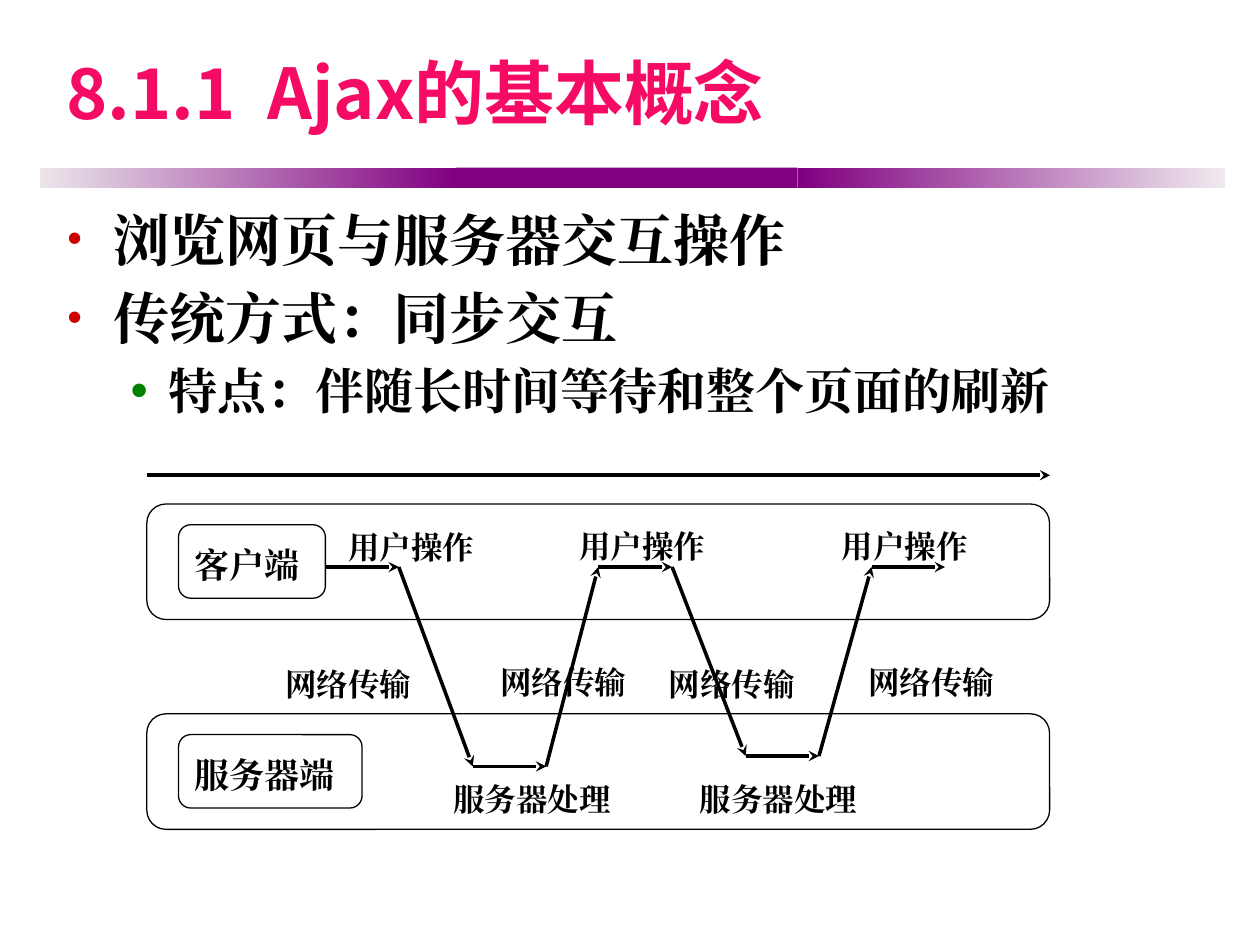
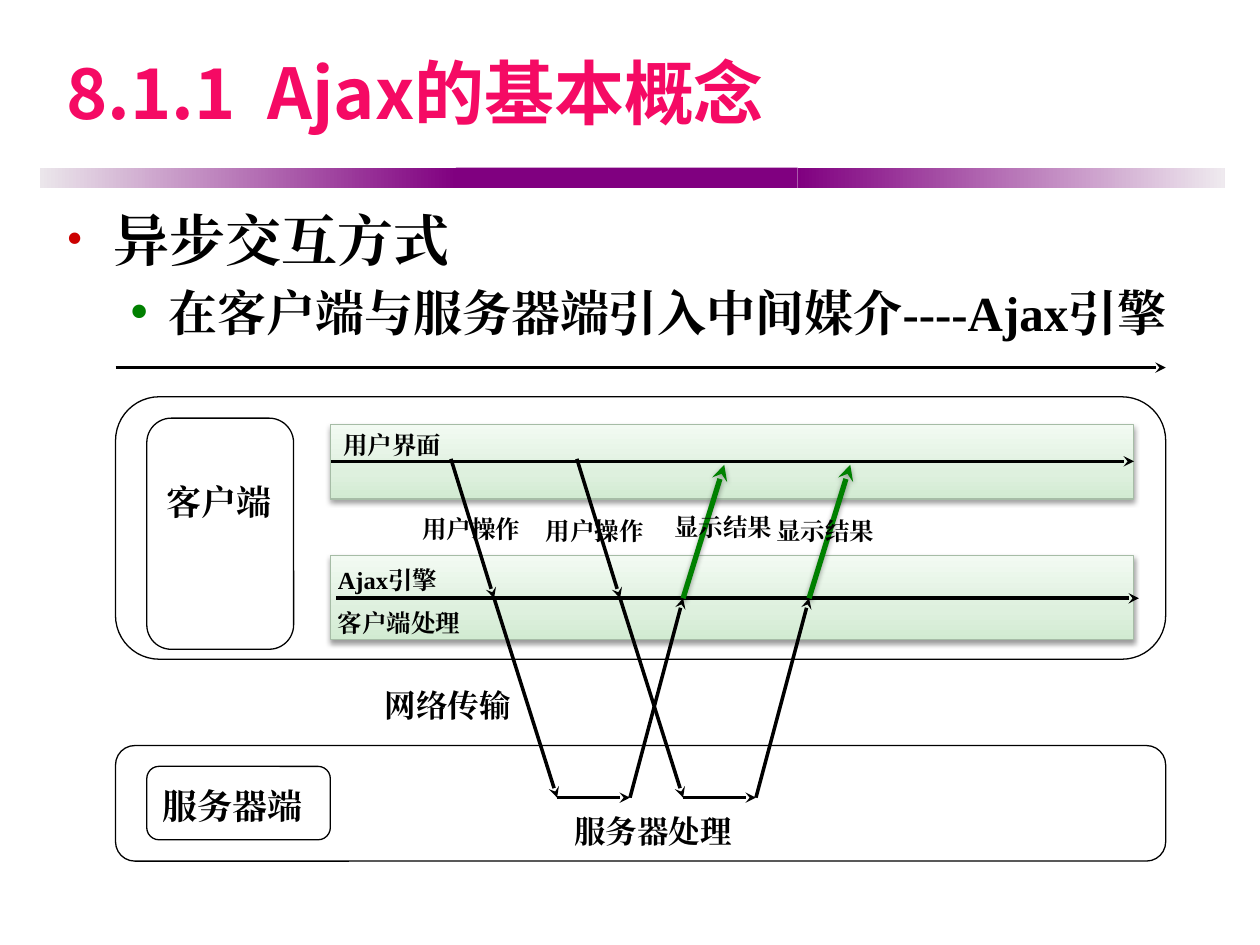
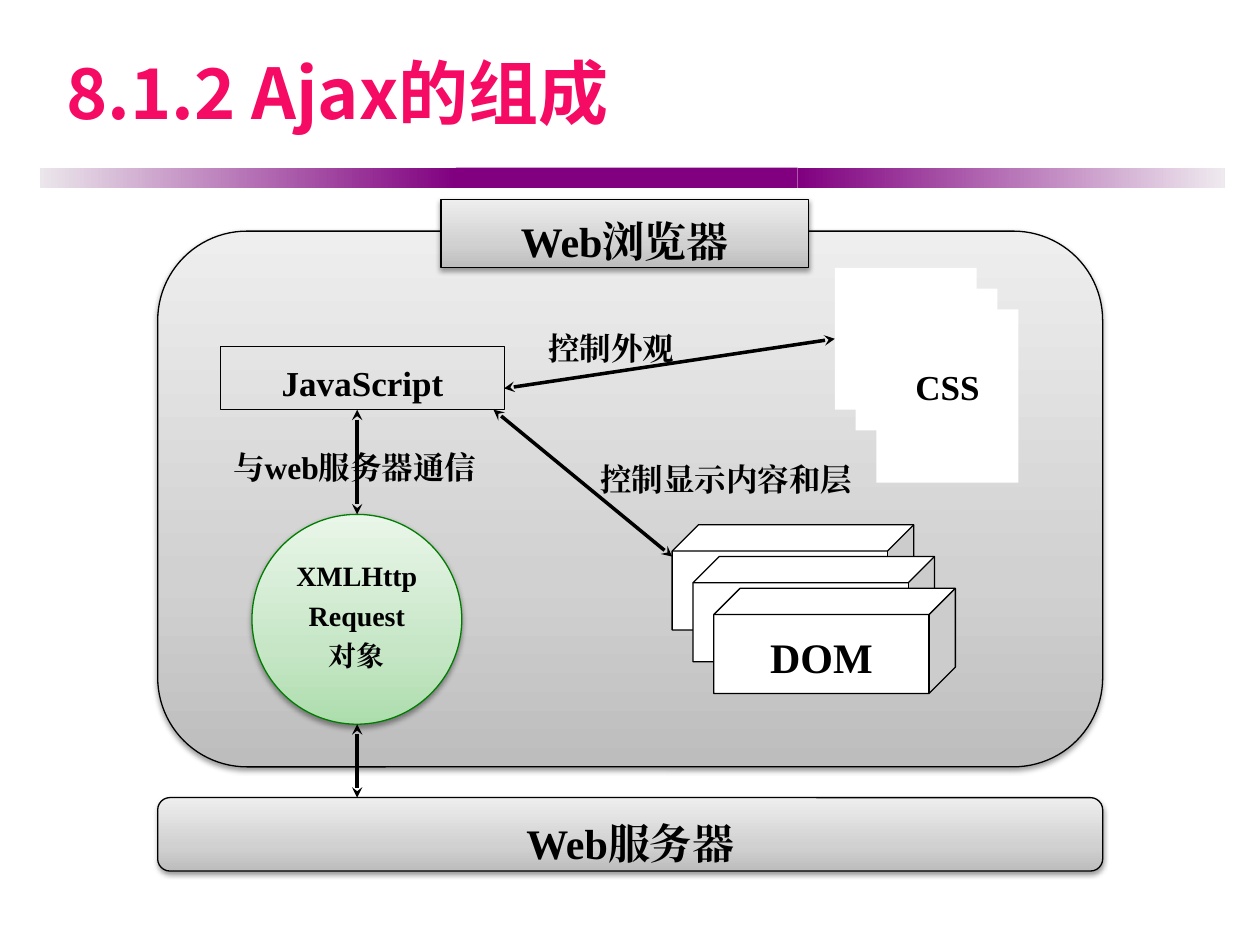
from copy import deepcopy
from itertools import pairwise

from lxml import etree
from pptx import Presentation
from pptx.dml.color import RGBColor
from pptx.enum.shapes import MSO_CONNECTOR, MSO_SHAPE as Preset
from pptx.enum.text import MSO_ANCHOR as Anchor, PP_ALIGN as Align
from pptx.oxml import parse_xml
from pptx.oxml.ns import qn
from pptx.util import Cm, Pt

# Shared look
rgb = RGBColor.from_string
BLACK, WHITE, PINK, PURPLE, GREEN = "000000", "FFFFFF", "F50A64", "800080", "008000"
BODY_FONT, TITLE_FONT = "Times New Roman", "Noto Sans CJK SC"
GREY_FADE = [(0, "BDBDBD"), (0.35, "D1D1D1"), (1, "EEEEEE")]
PALE_GREEN_FADE = [(0, "D2EBD2"), (0.35, "DEF0DE"), (1, "F2FAF2")]
GREEN_FADE = [(0, "ADDDAD"), (0.35, "C6E6C6"), (1, "E9F6E9")]
BANDS = [
    (0.81, 8.4, [(0, "EBE6EB"), (1, PURPLE)]),
    (9.19, 6.89, PURPLE),
    (16.08, 8.61, [(0, PURPLE), (1, "EFEAEF")]),
]
BULLETS = [("CC0000", 85, 32, 0.95, -0.95), (GREEN, 115, 28, 2.06, -0.79)]
SOFT_SHADOW = parse_xml(
    '<a:outerShdw xmlns:a="http://schemas.openxmlformats.org/drawingml/2006/main" '
    'blurRad="40000" dist="20000" dir="5400000" rotWithShape="0">'
    '<a:srgbClr val="000000"><a:alpha val="38000"/></a:srgbClr></a:outerShdw>'
)


def add_box(slide, preset, box, text="", size=18, fill=None, line=BLACK, shadow=False,
            align=Align.LEFT, top=0.13, angle=90, font=BODY_FONT, color=BLACK, spacing=1.2):
    """Add a preset shape, or a text box when preset is None."""
    place = [Cm(length) for length in box]
    if preset is None:
        shape = slide.shapes.add_textbox(*place)
    else:
        shape = slide.shapes.add_shape(preset, *place)
        shape.shadow.inherit = False
        if shadow:
            shape._element.spPr.find(qn("a:effectLst")).append(deepcopy(SOFT_SHADOW))
        if fill is None:
            shape.fill.background()
        elif isinstance(fill, str):
            shape.fill.solid()
            shape.fill.fore_color.rgb = rgb(fill)
        else:
            shape.fill.gradient()
            shape.fill.gradient_angle = angle
            stops = shape._element.spPr.find(qn("a:gradFill")).find(qn("a:gsLst"))
            for _ in fill[2:]:
                stops.append(deepcopy(stops[0]))
            for stop, (position, shade) in zip(shape.fill.gradient_stops, fill):
                stop.position = position
                stop.color.rgb = rgb(shade)
        if line:
            shape.line.color.rgb = rgb(line)
            shape.line.width = Pt(0.75)
        else:
            shape.line.fill.background()
    frame = shape.text_frame
    frame.word_wrap = True
    frame.vertical_anchor = Anchor.TOP
    frame.margin_top = Cm(top)
    frame.text = text
    for paragraph in frame.paragraphs:
        paragraph.alignment = align
        paragraph.line_spacing = spacing
        for run in paragraph.runs:
            run.font.size = Pt(size)
            run.font.bold = True
            run.font.name = font
            run.font.color.rgb = rgb(color)
            etree.SubElement(run._r.get_or_add_rPr(), qn("a:ea"), typeface=font)
    return shape


def add_arrow(slide, start, end, color=BLACK, width=2, both=False, shadow=False):
    """Add a straight arrow with a stealth head at its end, or at both ends."""
    arrow = slide.shapes.add_connector(
        MSO_CONNECTOR.STRAIGHT, *[Cm(length) for length in (*start, *end)])
    arrow.line.color.rgb = rgb(color)
    arrow.line.width = Pt(width)
    for tip in ["a:headEnd", "a:tailEnd"] if both else ["a:tailEnd"]:
        etree.SubElement(arrow.line._get_or_add_ln(), qn(tip), type="stealth")
    effects = etree.SubElement(arrow._element.spPr, qn("a:effectLst"))
    if shadow:
        effects.append(deepcopy(SOFT_SHADOW))


deck = Presentation()
deck.slide_width, deck.slide_height = Cm(25.4), Cm(19.05)

# Bands, title and bullets of every slide
CONTENTS = [
    ("8.1.1  Ajax的基本概念",
     [(0, "浏览网页与服务器交互操作"), (0, "传统方式：同步交互"),
      (1, "特点：伴随长时间等待和整个页面的刷新")]),
    ("8.1.1  Ajax的基本概念",
     [(0, "异步交互方式"), (1, "在客户端与服务器端引入中间媒介----Ajax引擎")]),
    ("8.1.2 Ajax的组成", []),
]
for title, points in CONTENTS:
    slide = deck.slides.add_slide(deck.slide_layouts[6])
    for left, width, fill in BANDS:
        add_box(slide, Preset.RECTANGLE, (left, 3.38, width, 0.41),
                fill=fill, line=None, angle=0)
    heading = add_box(slide, None, (1.09, 0.43, 23.01, 2.82), title, 40,
                      font=TITLE_FONT, color=PINK, spacing=1.0)
    heading.text_frame.vertical_anchor = Anchor.MIDDLE
    if not points:
        continue
    body = add_box(slide, None, (1.09, 4.01, 23.39, 4.45),
                   "\n".join(text for _, text in points), spacing=1.0)
    for paragraph, (level, _) in zip(body.text_frame.paragraphs, points):
        color, percent, size, margin, indent = BULLETS[level]
        paragraph.level = level
        paragraph.space_before = Pt(0.2 * size)
        paragraph.runs[0].font.size = Pt(size)
        props = paragraph._p.get_or_add_pPr()
        props.set("marL", str(Cm(margin)))
        props.set("indent", str(Cm(indent)))
        bullet_color = etree.SubElement(props, qn("a:buClr"))
        etree.SubElement(bullet_color, qn("a:srgbClr"), val=color)
        etree.SubElement(props, qn("a:buSzPct"), val=str(percent * 1000))
        etree.SubElement(props, qn("a:buFont"), typeface=BODY_FONT)
        etree.SubElement(props, qn("a:buChar"), char="•")

synchronous, asynchronous, components = deck.slides

# Slide 1: time axis, client and server lanes
add_arrow(synchronous, (2.96, 9.58), (21.17, 9.58))
for top, name, width in [(10.16, "客户端", 2.96), (14.39, "服务器端", 3.7)]:
    add_box(synchronous, Preset.ROUNDED_RECTANGLE, (2.96, top, 18.2, 2.33))
    add_box(synchronous, Preset.ROUNDED_RECTANGLE, (3.6, top + 0.42, width, 1.48), name, 20)

# Zigzag between client and server
zigzag = [(6.56, 11.43), (8.04, 11.43), (9.53, 15.45), (11.01, 15.45), (12.06, 11.43),
          (13.55, 11.43), (15.03, 15.24), (16.51, 15.24), (17.57, 11.43), (19.05, 11.43)]
for start, end in pairwise(zigzag):
    add_arrow(synchronous, start, end)

# Labels of the steps
STEPS = [
    ("用户操作", 3.28, [(6.77, 10.36), (11.43, 10.34), (16.72, 10.34)]),
    ("网络传输", 3.28, [(5.5, 13.13), (9.84, 13.08), (13.23, 13.13), (17.25, 13.08)]),
    ("服务器处理", 4.34, [(8.89, 15.45), (13.86, 15.45)]),
]
for step, width, places in STEPS:
    for left, top in places:
        add_box(synchronous, None, (left, top, width, 1.1), step)

# Slide 2: time axis, client and server lanes
add_box(asynchronous, Preset.RECTANGLE, (6.67, 8.56, 16.18, 1.5),
        fill=PALE_GREEN_FADE, line="A6BCA6", shadow=True)
add_arrow(asynchronous, (2.33, 7.41), (23.5, 7.41))
add_box(asynchronous, Preset.ROUNDED_RECTANGLE, (2.33, 8, 21.17, 5.29))
add_box(asynchronous, Preset.ROUNDED_RECTANGLE, (2.96, 8.43, 2.96, 4.66),
        "客户端", 20, top=0.95)
add_box(asynchronous, Preset.ROUNDED_RECTANGLE, (2.33, 15.03, 21.17, 2.33))
add_box(asynchronous, Preset.ROUNDED_RECTANGLE, (2.96, 15.45, 3.7, 1.48), "服务器端", 20)

# User interface and engine strips
add_arrow(asynchronous, (6.67, 9.3), (22.86, 9.3))
add_box(asynchronous, Preset.RECTANGLE, (6.67, 11.2, 16.18, 1.7),
        fill=PALE_GREEN_FADE, line="A6BCA6", shadow=True)
add_arrow(asynchronous, (6.77, 12.06), (22.96, 12.06))

# Two overlapping requests, each ending in a green answer
request = [(9.09, 9.25), (9.96, 12.06), (11.23, 16.08),
           (12.7, 16.08), (13.77, 12.06), (14.6, 9.37)]
for shift in (0, 2.54):
    legs = list(pairwise([(x + shift, y) for x, y in request]))
    for start, end in legs[:-1]:
        add_arrow(asynchronous, start, end)
    add_arrow(asynchronous, *legs[-1], color=GREEN, width=3, shadow=True)

# Labels of the strips and steps
for label, left, top, width, size in [
    ("用户界面", 6.67, 8.43, 3.28, 14),
    ("Ajax引擎", 6.56, 11.15, 3.28, 14),
    ("客户端处理", 6.56, 12.01, 3.28, 14),
    ("用户操作", 8.26, 10.11, 3.18, 14),
    ("用户操作", 10.75, 10.16, 2.6, 14),
    ("显示结果", 13.34, 10.08, 2.6, 14),
    ("显示结果", 15.4, 10.16, 2.6, 14),
    ("网络传输", 7.51, 13.54, 3.28, 18),
    ("服务器处理", 11.33, 16.08, 4.34, 18),
]:
    add_box(asynchronous, None, (left, top, width, 0.95), label, size)

# Slide 3: server and browser
for preset, box, name in [
    (Preset.ROUNDED_RECTANGLE, (3.18, 16.08, 19.05, 1.48), "Web服务器"),
    (Preset.ROUNDED_RECTANGLE, (3.18, 4.66, 19.05, 10.8), ""),
    (Preset.RECTANGLE, (8.89, 4.02, 7.41, 1.38), "Web浏览器"),
]:
    add_box(components, preset, box, name, 24, GREY_FADE, shadow=True, align=Align.CENTER)

# Script and request object
add_box(components, Preset.RECTANGLE, (4.45, 6.99, 5.72, 1.27), "JavaScript", 20,
        align=Align.CENTER)
add_box(components, Preset.OVAL, (5.08, 10.37, 4.23, 4.23), "XMLHttpRequest对象", 16,
        GREEN_FADE, "007D00", shadow=True, align=Align.CENTER)

# Stacks of document cubes and style sheets
for layer, name in enumerate(["", "", "DOM"]):
    add_box(components, Preset.CUBE,
            (13.55 + 0.42 * layer, 10.58 + 0.64 * layer, 4.87, 2.12),
            name, 24, WHITE, align=Align.CENTER)
for layer, (name, height) in enumerate([("", 2.86), ("", 2.86), ("CSS", 3.49)]):
    add_box(components, Preset.RECTANGLE,
            (16.83 + 0.42 * layer, 5.4 + 0.42 * layer, 2.86, height),
            name, 20, WHITE, None, align=Align.CENTER, top=0.95)

# Two-way links and their labels
for start, end in [
    ((7.2, 8.26), (7.2, 10.37)),
    ((9.95, 8.26), (13.55, 11.22)),
    ((10.16, 7.83), (16.83, 6.83)),
    ((7.2, 14.6), (7.2, 16.08)),
]:
    add_arrow(components, start, end, both=True)
for label, left, top in [
    ("与web服务器通信", 4.45, 8.76),
    ("控制显示内容和层", 11.85, 8.99),
    ("控制外观", 10.8, 6.35),
]:
    add_box(components, None, (left, top, 5.72, 1.1), label)

deck.save("out.pptx")
